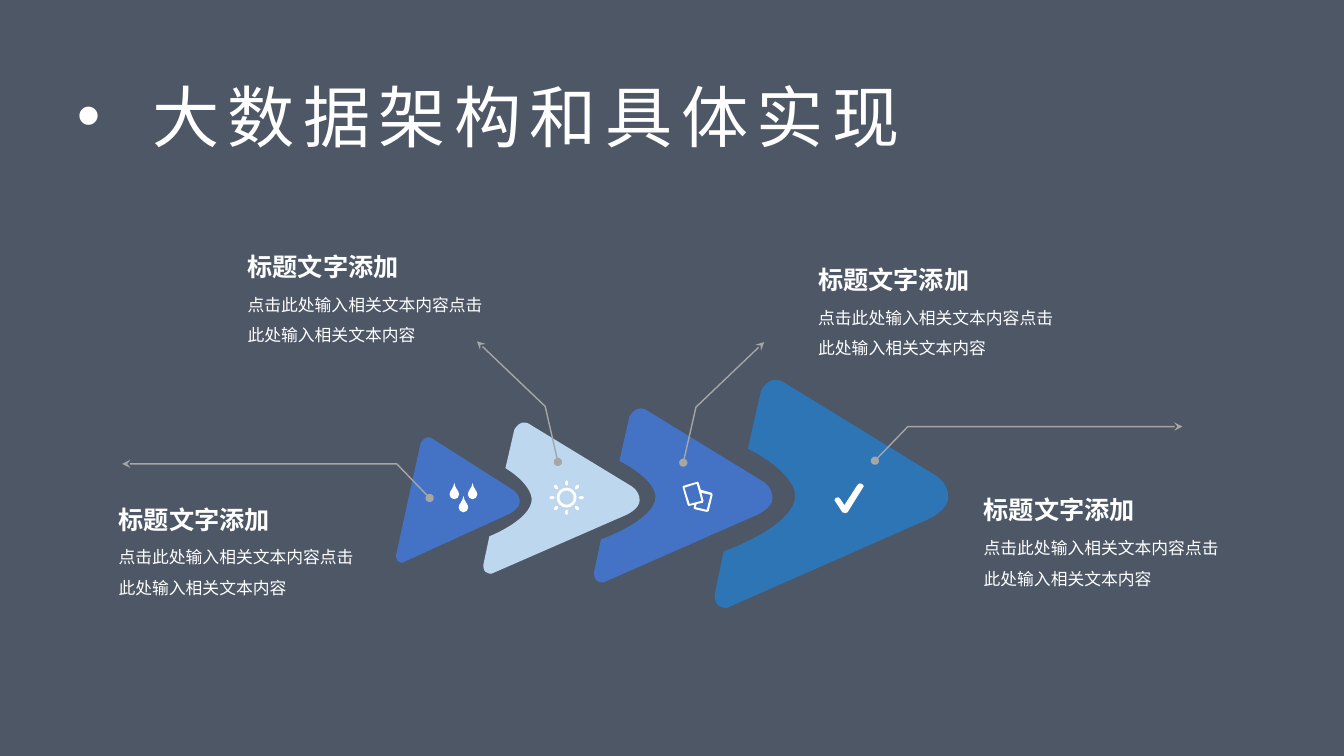
from math import cos, pi, sin

from lxml.etree import SubElement
from pptx import Presentation
from pptx.dml.color import RGBColor
from pptx.enum.shapes import MSO_SHAPE
from pptx.enum.text import MSO_ANCHOR, MSO_AUTO_SIZE, PP_ALIGN
from pptx.oxml.ns import qn
from pptx.util import Cm, Pt

COLORS = {"back": "333F50", "text": "FFFFFF", "leader": "A6A6A6",
          "blue": "4472C4", "pale": "BDD7EE", "deep": "2E75B6"}
FONT = "Noto Sans CJK SC"
HEADING = "标题文字添加"
BODY = "点击此处输入相关文本内容点击此处输入相关文本内容"

# box (left, top, width, height), colour, notch depth as a share of the width
ARROWHEADS = [
    ((18.01, 9.53, 5.89, 5.79), "deep", 0.345),
    ((14.97, 10.26, 4.5, 4.42), "blue", 0.345),
    ((12.18, 10.62, 3.94, 3.84), "pale", 0.31),
    ((9.98, 11, 3.12, 3.18), "blue", 0),
]
# bend and tip as offsets from the dot, for a leader going right
FLAT = [(0, 0), (0.83, -0.86), (7.75, -0.86)]
STEEP = [(0, 0), (0.32, -1.4), (2.04, -3.04)]
# text corner, dot, leader, direction
CALLOUTS = [
    ((20.37, 6.38), (17.22, 11.66), STEEP, 1),
    ((5.99, 6.06), (14.06, 11.64), STEEP, -1),
    ((24.54, 12.19), (22.05, 11.61), FLAT, 1),
    ((2.74, 12.42), (10.83, 12.55), FLAT, -1),
]
CARDS = [
    [(0.74, 0.28), (0.46, 0.2), (0.41, 0.03), (0.38, 0), (0.03, 0.1),
     (0, 0.13), (0.13, 0.58), (0.15, 0.61), (0.3, 0.58), (0.28, 0.66),
     (0.3, 0.69), (0.61, 0.76), (0.66, 0.74), (0.76, 0.33)],
    [(0.05, 0.15), (0.36, 0.05), (0.48, 0.48), (0.18, 0.56)],
    [(0.61, 0.71), (0.33, 0.64), (0.36, 0.56), (0.51, 0.53), (0.53, 0.48),
     (0.48, 0.28), (0.71, 0.33)],
]
CHECK = [
    [(0.28, 0.76), (0.2, 0.74), (0.03, 0.48), (0, 0.43), (0.03, 0.38),
     (0.1, 0.36), (0.15, 0.41), (0.25, 0.56), (0.58, 0.05), (0.64, 0.01),
     (0.7, 0.03), (0.74, 0.08), (0.71, 0.13), (0.33, 0.74)],
]


def rgb(name):
    return RGBColor.from_string(COLORS[name])


def arc(x, y, radius, start=0, quarters=4, turn=1):
    """Start point, then one curve (two controls and an end) per quarter."""
    def at(angle, along=0):
        return (x + radius * (cos(angle) - along * sin(angle)),
                y + radius * (sin(angle) + along * cos(angle)))
    k = 0.5523 * turn
    nodes = [at(start)]
    for i in range(quarters):
        a, b = start + turn * i * pi / 2, start + turn * (i + 1) * pi / 2
        nodes.append((at(a, k), at(b, -k), at(b)))
    return nodes


def outline(s, left, top, contours, fill=None):
    """Freeform in cm from points and curves; without a fill it stays open."""
    builder, curved = None, []
    for first, *nodes in contours:
        curves = [isinstance(node[0], tuple) for node in nodes]
        points = [first]
        for node, curve in zip(nodes, curves):
            points += node if curve else [node]
        start, *rest = [(Cm(left + x), Cm(top + y)) for x, y in points]
        if builder is None:
            builder = s.shapes.build_freeform(*start)
        else:
            builder.move_to(*start)
        builder.add_line_segments(rest, close=bool(fill))
        curved += curves
    sp = builder.convert_to_shape()
    steps = iter(list(sp._element.iter(qn("a:lnTo"))))
    for curve in curved:
        step = next(steps)
        if curve:
            step.addprevious(bez := step.makeelement(qn("a:cubicBezTo"), {}))
            for part in (step, next(steps), next(steps)):
                bez.append(part[0])
                part.getparent().remove(part)
    sp.shadow.inherit = False
    if fill:
        sp.fill.solid()
        sp.fill.fore_color.rgb = rgb(fill)
        sp.line.fill.background()
    else:
        sp.fill.background()
    return sp


def arrowhead(s, box, color, notch):
    left, top, width, height = box

    def at(x, y):
        return x * width, y * height

    def curve(*points):
        return tuple(at(*point) for point in points)

    low, high, deep = (0.039, 0.754), (0.142, 0.307), (notch, 0.509)
    edge = [at(1, 0.518), curve((1, 0.575), (0.914, 0.614), (0.914, 0.614)),
            at(0.052, 1), curve((0.052, 1), (0.026, 1), (0.013, 0.987)),
            curve((0, 0.974), (0, 0.943), (0, 0.943))]
    if notch:
        edge += [at(*low), curve(low, (notch, 0.645), deep),
                 curve((notch - 0.01, 0.4), high, high)]
    edge += [at(0.198, 0.057), curve((0.198, 0.057), (0.211, 0.022), (0.246, 0.009)),
             curve((0.276, 0), (0.302, 0.022), (0.302, 0.022)),
             at(0.948, 0.425), curve((0.948, 0.425), (1, 0.456), (1, 0.518))]
    outline(s, left, top, [edge], color)


def drop(x, y):
    r, bulb = 0.12, y + 0.29
    mid, right = x + r, x + 2 * r
    return [(mid, y), ((mid - 0.02, y + 0.15), (x, y + 0.19), (x, bulb)),
            *arc(mid, bulb, r, pi, 2, -1)[1:],
            ((right, y + 0.19), (mid + 0.02, y + 0.15), (mid, y))]


def ray(x, y, angle):
    """Round-ended bar pointing away from the centre of the sun."""
    def end(distance, start):
        return arc(x + distance * cos(angle), y + distance * sin(angle),
                   0.04, start, 2)
    return end(0.4, angle - pi / 2) + end(0.34, angle + pi / 2)


def icons(s):
    drops = [drop(x, y) for x, y in [(0, 0), (0.46, 0), (0.23, 0.33)]]
    sun = [arc(0.44, 0.44, 0.25), arc(0.44, 0.44, 0.18)]
    sun += [ray(0.44, 0.44, i * pi / 4) for i in range(8)]
    for left, top, contours in [(11.33, 12.17, drops), (13.84, 12.1, sun),
                                (17.2, 12.14, CARDS), (21.03, 12.17, CHECK)]:
        outline(s, left, top, contours, "text")


def write(p, text, **formats):
    r = p.add_run()
    r.text = text
    r.font.color.rgb = rgb("text")
    for key, value in {"name": FONT, **formats}.items():
        setattr(r.font, key, value)
    SubElement(r.font._element, qn("a:ea"), typeface=FONT)
    return r


def text_box(s, left, top, width, height, text, spacing, **formats):
    tf = s.shapes.add_textbox(Cm(left), Cm(top), Cm(width), Cm(height)).text_frame
    tf.word_wrap = True
    tf.paragraphs[0].line_spacing = spacing
    write(tf.paragraphs[0], text, **formats)


def callout(s, corner, dot, leader, side):
    sp = outline(s, *dot, [[(side * x, y) for x, y in leader]])
    sp.line.color.rgb = rgb("leader")
    sp.line.width = Pt(1)
    ln = sp.line._get_or_add_ln()
    SubElement(ln, qn("a:headEnd"), type="oval")
    SubElement(ln, qn("a:tailEnd"), type="stealth")
    left, top = corner
    text_box(s, left, top + 0.99, 6.71, 1.7, BODY, 1.5, size=Pt(12))
    text_box(s, left, top, 6.22, 1.09, HEADING, 1.2, size=Pt(18), bold=True)


def title(s, text, left, top, width, height):
    sp = s.shapes.title
    sp.left, sp.top, sp.width, sp.height = Cm(left), Cm(top), Cm(width), Cm(height)
    tf = sp.text_frame
    formats = {"margin_left": 0, "margin_right": 0, "margin_top": 0,
               "margin_bottom": 0, "word_wrap": True,
               "auto_size": MSO_AUTO_SIZE.NONE,
               "vertical_anchor": MSO_ANCHOR.MIDDLE}
    for key, value in formats.items():
        setattr(tf, key, value)
    p = tf.paragraphs[0]
    p.alignment = PP_ALIGN.LEFT
    pPr = p._p.get_or_add_pPr()
    pPr.set("marL", str(Cm(1.9)))
    pPr.set("indent", str(-Cm(1.9)))
    SubElement(pPr, qn("a:buFont"), typeface="Arial")
    SubElement(pPr, qn("a:buChar"), char="•")
    r = write(p, text, size=Pt(48), bold=False)
    r.font._element.set("spc", "600")


def backdrop(s, width, height):
    """Translucent sheet behind everything else."""
    sp = s.shapes.add_shape(MSO_SHAPE.RECTANGLE, 0, 0, width, height)
    sp.shadow.inherit = False
    sp.fill.solid()
    sp.fill.fore_color.rgb = rgb("back")
    tint = next(sp._element.spPr.iter(qn("a:srgbClr")))
    SubElement(tint, qn("a:alpha"), val="87000")
    sp.line.fill.background()
    s.shapes._spTree.insert(2, sp._element)


def main():
    prs = Presentation()
    prs.slide_width, prs.slide_height = Cm(33.87), Cm(19.05)
    s = prs.slides.add_slide(prs.slide_layouts[5])
    backdrop(s, prs.slide_width, prs.slide_height)
    title(s, "大数据架构和具体实现", 1.94, 1.88, 26.92, 2.06)
    for part in ARROWHEADS:
        arrowhead(s, *part)
    for part in CALLOUTS:
        callout(s, *part)
    icons(s)
    prs.save("out.pptx")


if __name__ == "__main__":
    main()
